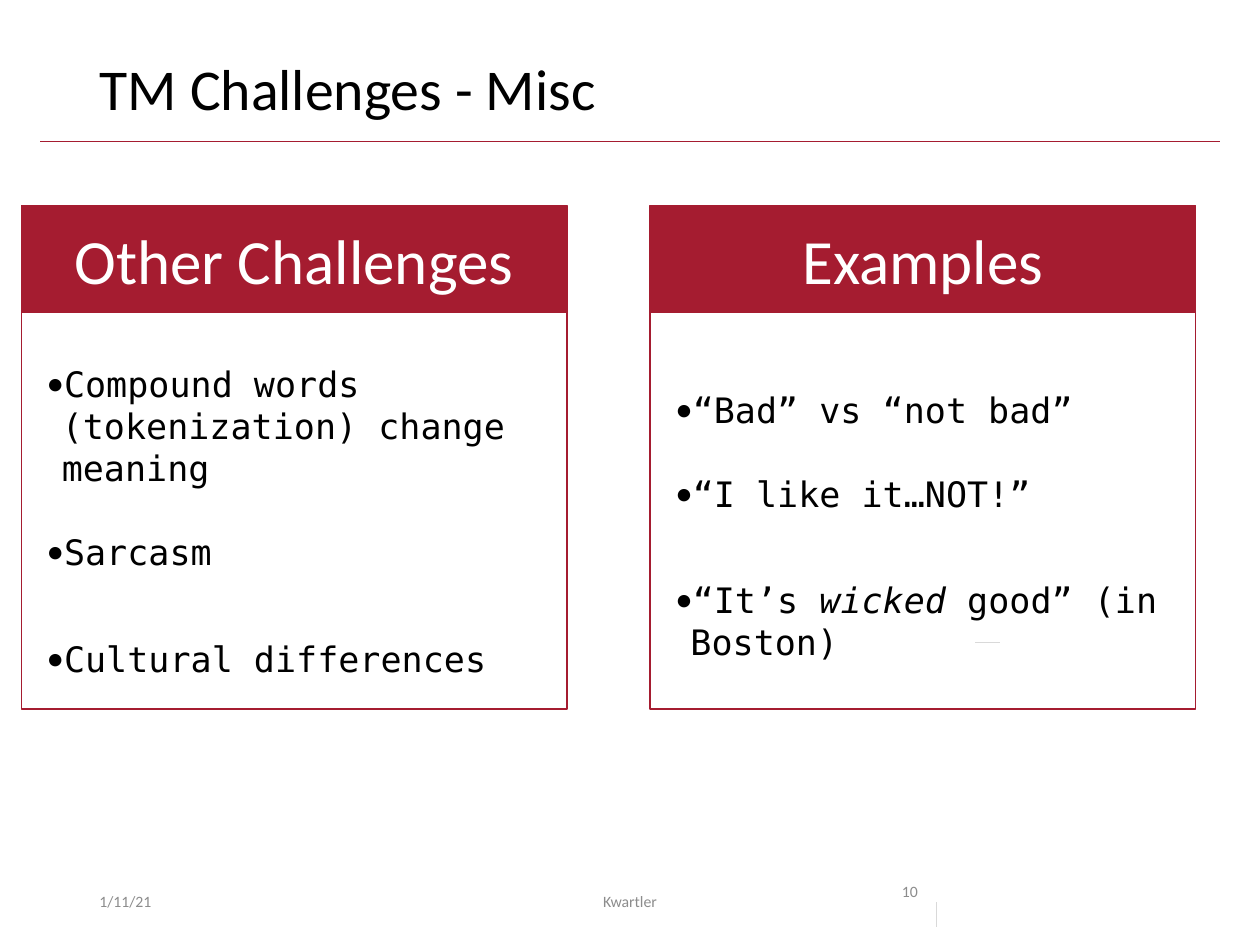
from dataclasses import dataclass

from lxml.etree import SubElement
from pptx import Presentation
from pptx.dml.color import RGBColor
from pptx.enum.shapes import MSO_CONNECTOR, MSO_SHAPE
from pptx.enum.text import MSO_ANCHOR, MSO_AUTO_SIZE, PP_ALIGN
from pptx.oxml.ns import qn
from pptx.util import Inches, Pt


@dataclass(frozen=True)
class Theme:
    crimson: str = "A51C30"
    black: str = "000000"
    white: str = "FFFFFF"
    gray: str = "8C8C8C"
    pale: str = "D9D9D9"
    sans: str = "Calibri"
    mono: str = "DejaVu Sans Mono"
    title: int = 33
    heading: int = 36
    body: int = 20
    footer: int = 9


def add_text(p, text, *, font, size, color, italic=False):
    r = p.add_run()
    r.text = text
    r.font.name = font
    r.font.size = Pt(size)
    r.font.color.rgb = RGBColor.from_string(color)
    r.font.italic = italic


class Deck:
    def __init__(self, theme):
        self.theme = theme
        self.prs = Presentation()
        self.prs.slide_width, self.prs.slide_height = Inches(10), Inches(7.5)
        self.s = None

    def add_slide(self):
        self.s = self.prs.slides.add_slide(self.prs.slide_layouts[3])

    def place(self, idx, box, anchor):
        sp = self.s.placeholders[idx]
        sp.left, sp.top, sp.width, sp.height = map(Inches, box)
        tf = sp.text_frame
        tf.word_wrap = True
        tf.auto_size = MSO_AUTO_SIZE.NONE
        tf.vertical_anchor = anchor
        return tf

    def title(self, text, box):
        t = self.theme
        p = self.place(0, box, MSO_ANCHOR.MIDDLE).paragraphs[0]
        p.alignment = PP_ALIGN.LEFT
        p.line_spacing = 0.9
        add_text(p, text, font=t.sans, size=t.title, color=t.black)

    def bullets(self, idx, items, box, gaps):
        t = self.theme
        tf = self.place(idx, box, MSO_ANCHOR.TOP)
        for i, (runs, gap) in enumerate(zip(items, gaps)):
            p = tf.paragraphs[0] if i == 0 else tf.add_paragraph()
            pPr = p._p.get_or_add_pPr()
            pPr.set("marL", str(Inches(0.12)))
            pPr.set("indent", str(-Inches(0.12)))
            SubElement(pPr, qn("a:buFont")).set("typeface", t.sans)
            SubElement(pPr, qn("a:buChar")).set("char", "•")
            p.space_before = Pt(gap)
            for text, italic in runs:
                add_text(p, text, font=t.mono, size=t.body, color=t.black, italic=italic)

    def rect(self, box, fill=None):
        sp = self.s.shapes.add_shape(MSO_SHAPE.RECTANGLE, *map(Inches, box))
        sp.shadow.inherit = False
        sp.line.color.rgb = RGBColor.from_string(self.theme.crimson)
        sp.line.width = Pt(1)
        if fill:
            sp.fill.solid()
            sp.fill.fore_color.rgb = RGBColor.from_string(fill)
        else:
            sp.fill.background()
        return sp

    def header(self, text, box):
        t = self.theme
        tf = self.rect(box, t.crimson).text_frame
        tf.vertical_anchor = MSO_ANCHOR.MIDDLE
        p = tf.paragraphs[0]
        p.alignment = PP_ALIGN.CENTER
        add_text(p, text, font=t.sans, size=t.heading, color=t.white)

    def panel(self, idx, left, heading, items, top, height):
        self.bullets(idx, items, (left + 0.1, top, 4.15, height), (0, 24, 37))
        self.header(heading, (left, 1.63, 4.33, 0.85))
        self.rect((left, 1.78, 4.33, 3.85))

    def line(self, start, end, color):
        c = self.s.shapes.add_connector(MSO_CONNECTOR.STRAIGHT, *map(Inches, start + end))
        c.line.color.rgb = RGBColor.from_string(color)
        c.line.width = Pt(0.5)
        SubElement(c._element.spPr, qn("a:effectLst"))

    def footer(self, text, left, width, align=PP_ALIGN.LEFT, anchor=MSO_ANCHOR.MIDDLE):
        t = self.theme
        sp = self.s.shapes.add_textbox(*map(Inches, (left, 6.95, width, 0.4)))
        tf = sp.text_frame
        tf.word_wrap = True
        tf.vertical_anchor = anchor
        p = tf.paragraphs[0]
        p.alignment = align
        add_text(p, text, font=t.sans, size=t.footer, color=t.gray)


def main():
    theme = Theme()
    deck = Deck(theme)
    deck.add_slide()
    deck.line((0.32, 1.12), (9.68, 1.12), theme.crimson)
    deck.title("TM Challenges - Misc", (0.69, 0.4, 8.62, 0.65))
    challenges = [
        [("Compound words (tokenization) change meaning", False)],
        [("Sarcasm", False)],
        [("Cultural differences", False)],
    ]
    examples = [
        [("“Bad” vs “not bad”", False)],
        [("“I like it…NOT!”", False)],
        [("“It’s ", False), ("wicked", True), (" good” (in Boston)", False)],
    ]
    deck.panel(1, 0.17, "Other Challenges", challenges, 2.83, 2.31)
    deck.panel(2, 5.16, "Examples", examples, 3.03, 1.97)
    deck.line((7.43, 7.16), (7.43, 7.36), theme.pale)
    deck.line((7.74, 5.1), (7.94, 5.1), theme.pale)
    deck.footer("1/11/21", 0.69, 2.25)
    deck.footer("Kwartler", 3.31, 3.38, align=PP_ALIGN.CENTER)
    deck.footer("10", 7.06, 0.94, anchor=MSO_ANCHOR.TOP)
    deck.prs.save("out.pptx")


if __name__ == "__main__":
    main()
